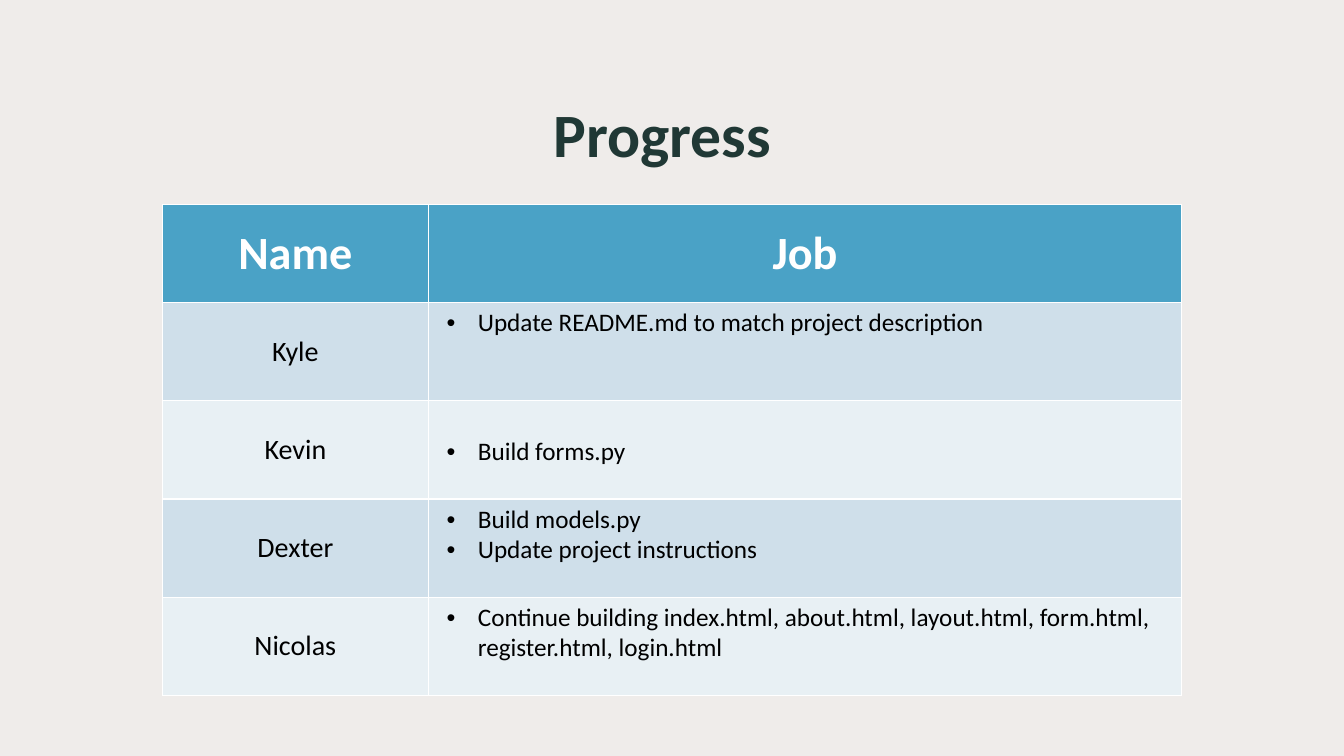
from lxml import etree
from pptx import Presentation
from pptx.dml.color import RGBColor
from pptx.enum.shapes import MSO_SHAPE
from pptx.enum.text import MSO_ANCHOR, PP_ALIGN
from pptx.oxml.ns import qn
from pptx.util import Inches, Pt

RECTANGLE = MSO_SHAPE.RECTANGLE
CENTER, LEFT = PP_ALIGN.CENTER, PP_ALIGN.LEFT
MIDDLE, TOP = MSO_ANCHOR.MIDDLE, MSO_ANCHOR.TOP
FONT = "Calibri"
COLORS = {
    "tint": "E8E4E2",
    "title": "203835",
    "header": "4AA2C6",
    "band_dark": "CFDFEA",
    "band_light": "E8F0F4",
    "white": "FFFFFF",
    "black": "000000",
}
JOBS = [
    ("Kyle", ["Update README.md to match project description"]),
    ("Kevin", ["Build forms.py"]),
    ("Dexter", ["Build models.py", "Update project instructions"]),
    ("Nicolas", ["Continue building index.html, about.html, layout.html, "
                 "form.html, register.html, login.html"]),
]


def add_text(paragraph, text, size, color, bold=False, align=CENTER):
    paragraph.alignment = align
    run = paragraph.add_run()
    run.text = text
    run.font.name = FONT
    run.font.size = Pt(size)
    run.font.bold = bold
    run.font.color.rgb = RGBColor.from_string(COLORS[color])


def format_cell(cell, fill, anchor):
    cell.vertical_anchor = anchor
    cell.margin_left = cell.margin_right = Inches(0.18)
    cell.margin_top = cell.margin_bottom = Inches(0.05)
    properties = cell._tc.get_or_add_tcPr()
    for side in ("lnL", "lnR", "lnT", "lnB"):
        line = etree.SubElement(properties, qn(f"a:{side}"), w=str(Pt(0.96)))
        line_fill = etree.SubElement(line, qn("a:solidFill"))
        etree.SubElement(line_fill, qn("a:srgbClr"), val=COLORS["white"])
    cell.fill.solid()
    cell.fill.fore_color.rgb = RGBColor.from_string(COLORS[fill])


presentation = Presentation()
presentation.slide_width = Inches(13.33)
presentation.slide_height = Inches(7.5)
slide = presentation.slides.add_slide(presentation.slide_layouts[5])
title = slide.shapes.title

# Backdrop: white under a translucent tint, both behind the title
for color, opacity in [("white", 100), ("tint", 69)]:
    backdrop = slide.shapes.add_shape(
        RECTANGLE, 0, 0, presentation.slide_width, presentation.slide_height)
    backdrop.shadow.inherit = False
    backdrop.line.fill.background()
    backdrop.fill.solid()
    backdrop.fill.fore_color.rgb = RGBColor.from_string(COLORS[color])
    if opacity < 100:
        color_element = backdrop._element.spPr.find(".//" + qn("a:srgbClr"))
        etree.SubElement(color_element, qn("a:alpha"), val=str(opacity * 1000))
    title._element.addprevious(backdrop._element)

# Title
title.left, title.top = Inches(0.91), Inches(0.62)
title.width, title.height = Inches(11.32), Inches(1.4)
title.text_frame.vertical_anchor = MIDDLE
add_text(title.text_frame.paragraphs[0], "Progress", 44, "title", bold=True)

# Table grid
column_widths = [2.64, 7.47]
row_count = len(JOBS) + 1
table_height = Inches(4.87)
table = slide.shapes.add_table(
    row_count, len(column_widths), Inches(1.61), Inches(2.03),
    Inches(sum(column_widths)), table_height).table
for column, width in zip(table.columns, column_widths):
    column.width = Inches(width)
for row in table.rows:
    row.height = table_height // row_count

# Header row
for column_index, heading in enumerate(["Name", "Job"]):
    cell = table.cell(0, column_index)
    format_cell(cell, "header", MIDDLE)
    add_text(cell.text_frame.paragraphs[0], heading, 33, "white", bold=True)

# One banded row per person
for row_index, (name, tasks) in enumerate(JOBS, start=1):
    band = "band_dark" if row_index % 2 else "band_light"
    name_cell, job_cell = table.cell(row_index, 0), table.cell(row_index, 1)
    format_cell(name_cell, band, MIDDLE)
    add_text(name_cell.text_frame.paragraphs[0], name, 20, "black")

    format_cell(job_cell, band, TOP)
    if name == "Kevin":  # this task sits one line lower
        job_cell.margin_top = Inches(0.35)
    for task_index, task in enumerate(tasks):
        frame = job_cell.text_frame
        paragraph = frame.add_paragraph() if task_index else frame.paragraphs[0]
        add_text(paragraph, task, 18, "black", align=LEFT)
        properties = paragraph._p.get_or_add_pPr()
        properties.set("marL", str(Inches(0.31)))
        properties.set("indent", str(-Inches(0.31)))
        etree.SubElement(properties, qn("a:buFont"), typeface="Arial")
        etree.SubElement(properties, qn("a:buChar"), char="•")

presentation.save("out.pptx")
